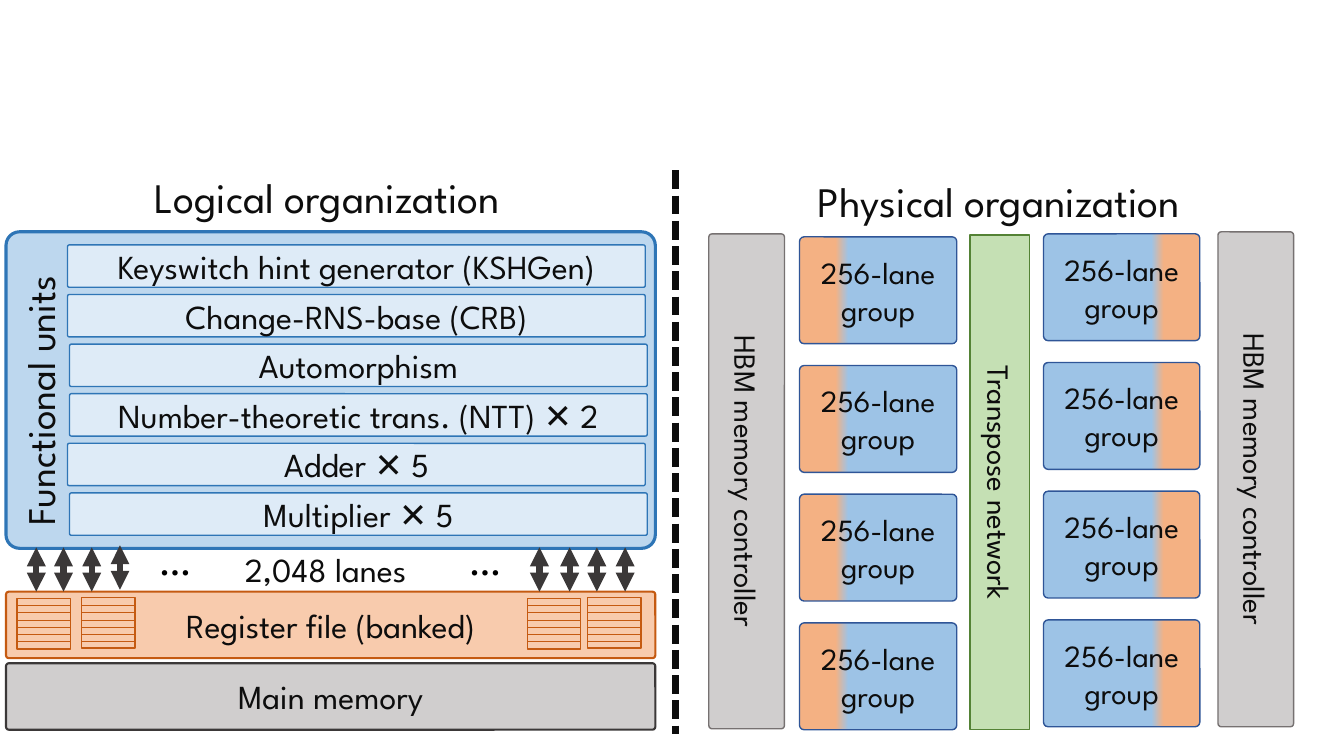
from copy import deepcopy

from lxml.etree import SubElement
from pptx import Presentation
from pptx.dml.color import RGBColor
from pptx.enum.dml import MSO_LINE
from pptx.enum.shapes import MSO_CONNECTOR, MSO_SHAPE
from pptx.enum.text import MSO_ANCHOR, MSO_AUTO_SIZE, PP_ALIGN
from pptx.oxml.ns import qn
from pptx.util import Inches, Pt

COLORS = {
    "text": "0D0D0D", "black": "000000", "dark": "3B3838",
    "gray": "D0CECE", "edge": "767171",
    "sky": "BDD7EE", "pale": "DEEBF7", "blue": "2E75B6",
    "lane": "9DC3E6", "navy": "2F5597",
    "peach": "F8CBAD", "orange": "F4B183", "rust": "C55A11",
    "mint": "C5E0B4", "green": "548235",
}
FONT = "League Spartan"
ROUND, RECT = MSO_SHAPE.ROUNDED_RECTANGLE, MSO_SHAPE.RECTANGLE
TIMES = "✕"

# Left edge and label of each unit, from top to bottom
UNITS = [
    (0.67, "Keyswitch hint generator (KSHGen)"),
    (0.67, "Change-RNS-base (CRB)"),
    (0.69, "Automorphism"),
    (0.69, "Number-theoretic trans. (NTT) ✕ 2"),
    (0.67, "Adder ✕ 5"),
    (0.69, "Multiplier ✕ 5"),
]
# Left edge and top of each register bank
BANKS = [(0.17, 5.94), (0.81, 5.93), (5.23, 5.94), (5.83, 5.93)]
# Position and lower end of each lane arrow
ARROWS = [(0.36, 5.87), (0.63, 5.87), (0.91, 5.87), (1.19, 5.85),
          (5.35, 5.87), (5.65, 5.87), (5.92, 5.87), (6.2, 5.87)]


def rgb(name):
    return RGBColor.from_string(COLORS[name])


def style(item, values):
    for key, value in values.items():
        setattr(item, key, value)


def write(shape, text, size, color="text", align=PP_ALIGN.CENTER,
          anchor=MSO_ANCHOR.MIDDLE):
    """Put one paragraph in a shape, with the times sign in bold."""
    style(shape.text_frame, {"word_wrap": True, "vertical_anchor": anchor,
                             "auto_size": MSO_AUTO_SIZE.NONE})
    para = shape.text_frame.paragraphs[0]
    style(para, {"alignment": align, "space_before": Pt(0)})
    before, sign, after = text.partition(TIMES)
    for part, bold in ((before, False), (sign, True), (after, False)):
        if part:
            run = para.add_run()
            run.text = part
            style(run.font, {"name": FONT, "size": Pt(size), "bold": bold})
            run.font.color.rgb = rgb(color)


def block(shapes, area, fill, line, width=1, kind=ROUND):
    """Add a filled box with an outline."""
    shape = shapes.add_shape(kind, *map(Inches, area))
    shape.shadow.inherit = False
    if kind == ROUND:
        shape.adjustments[0] = 0.043
    shape.fill.solid()
    shape.fill.fore_color.rgb = rgb(fill)
    shape.line.color.rgb = rgb(line)
    shape.line.width = Pt(width)
    return shape


def label(shapes, area, text, size, color="text", turn=0):
    """Add free text that starts at the left of its area."""
    box = shapes.add_textbox(*map(Inches, area))
    write(box, text, size, color, PP_ALIGN.LEFT, MSO_ANCHOR.TOP)
    box.rotation = turn


def heading(slide, index, area, text):
    """Move and fill one of the layout's heading placeholders."""
    holder = next(h for h in slide.placeholders
                  if h.placeholder_format.idx == index)
    sides = ("left", "top", "width", "height")
    style(holder, dict(zip(sides, map(Inches, area))))
    write(holder, text, 30, "text", PP_ALIGN.LEFT, MSO_ANCHOR.TOP)


def rule(shapes, ends, color, width):
    """Add a straight line."""
    line = shapes.add_connector(MSO_CONNECTOR.STRAIGHT, *map(Inches, ends))
    line.line.color.rgb = rgb(color)
    line.line.width = Pt(width)
    SubElement(line.element.spPr, qn("a:effectLst"))
    return line


def arrow(shapes, x, low):
    """Add an upright arrow with a head at both ends."""
    line = rule(shapes, (x, low, x, low - 0.44), "dark", 4.5)
    outline = line.element.spPr.find(qn("a:ln"))
    for end in ("a:headEnd", "a:tailEnd"):
        SubElement(outline, qn(end), type="triangle")


def bank(shapes, x, y):
    """Add a register bank: a box cut by six thin lines."""
    group = shapes.add_group_shape().shapes
    block(group, (x, y, 0.53, 0.5), "peach", "rust", kind=RECT)
    for row in range(6):
        level = 6.01 + 0.07 * row
        rule(group, (x + 0.53, level, x, level), "rust", 0.5)


def lanes(shapes, x, y, width, flip):
    """Add a lane group whose orange side can be mirrored."""
    shape = block(shapes, (x, y, width, 1.06), "lane", "navy")
    shape.fill.gradient()
    shape.fill.gradient_angle = 0
    stops = shape.element.spPr.find(".//" + qn("a:gsLst"))
    stops.append(deepcopy(stops[0]))
    marks = [(0, "orange"), (0.23, "orange"), (0.31, "lane")]
    for stop, (place, color) in zip(shape.fill.gradient_stops, marks):
        stop.position = place
        stop.color.rgb = rgb(color)
    if flip:
        shape.element.spPr.find(qn("a:xfrm")).set("flipH", "1")
    write(shape, "256-lane group", 22)


def tower(shapes, area, text, fill, line, kind=ROUND):
    """Add a bar turned upright, with its text."""
    shape = block(shapes, area, fill, line, kind=kind)
    shape.rotation = 90
    write(shape, text, 22)


def logic(slide):
    shapes = slide.shapes
    heading(slide, 1, (1.43, 1.65, 4.12, 0.61), "Logical organization")

    # Functional units
    block(shapes, (0.06, 2.3, 6.44, 3.14), "sky", "blue", 2.25)
    for row, (x, text) in enumerate(UNITS):
        area = (x, 2.43 + 2.46 / 5 * row, 5.73, 0.42)
        write(block(shapes, area, "pale", "blue"), text, 24)
    label(shapes, (-1.06, 3.57, 2.92, 0.57), "Functional units", 28, turn=270)

    # Lanes
    for x in (1.48, 4.56):
        label(shapes, (x, 5.24, 0.6, 0.61), "…", 30, "black")
    label(shapes, (2.33, 5.4, 2.03, 0.5), "2,048 lanes", 24)

    # Storage
    for y, text, fill, line in (
            (5.87, "Register file (banked)", "peach", "rust"),
            (6.58, "Main memory", "gray", "dark")):
        write(block(shapes, (0.06, y, 6.44, 0.66), fill, line, 1.5), text, 24)
    for place in BANKS:
        bank(shapes, *place)
    for place in ARROWS:
        arrow(shapes, *place)


def layout(slide):
    shapes = slide.shapes
    heading(slide, 3, (8.01, 1.69, 4.28, 0.61), "Physical organization")

    # Memory controllers and network
    for x, y in ((4.95, 4.4), (10, 4.38)):
        tower(shapes, (x, y, 4.91, 0.75), "HBM memory controller",
              "gray", "edge")
    tower(shapes, (7.46, 4.49, 4.91, 0.59), "Transpose network",
          "mint", "green", RECT)

    # Lane groups
    for x, top, width, flip in ((7.93, 2.35, 1.56, False),
                                (10.35, 2.32, 1.55, True)):
        for row in range(4):
            lanes(shapes, x, top + 3.83 / 3 * row, width, flip)


def main():
    deck = Presentation()
    deck.slide_width, deck.slide_height = Inches(13.33), Inches(7.5)
    slide = deck.slides.add_slide(deck.slide_layouts.get_by_name("Comparison"))
    logic(slide)
    split = rule(slide.shapes, (6.7, 1.69, 6.7, 7.28), "text", 4.5)
    split.line.dash_style = MSO_LINE.SQUARE_DOT
    layout(slide)

    # Unused placeholders
    for holder in list(slide.placeholders):
        if not holder.text_frame.text:
            holder.element.getparent().remove(holder.element)
    deck.save("out.pptx")


if __name__ == "__main__":
    main()
